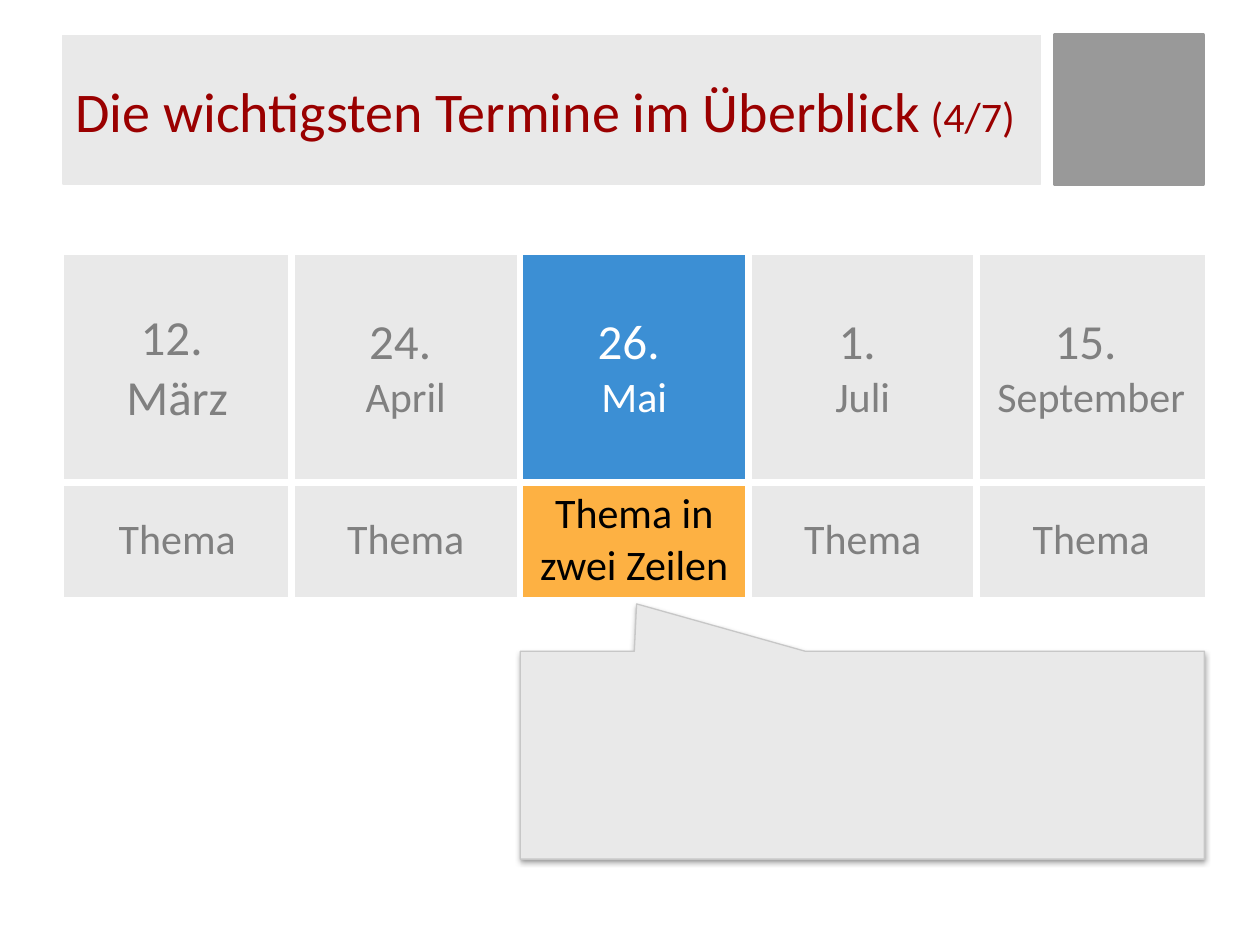
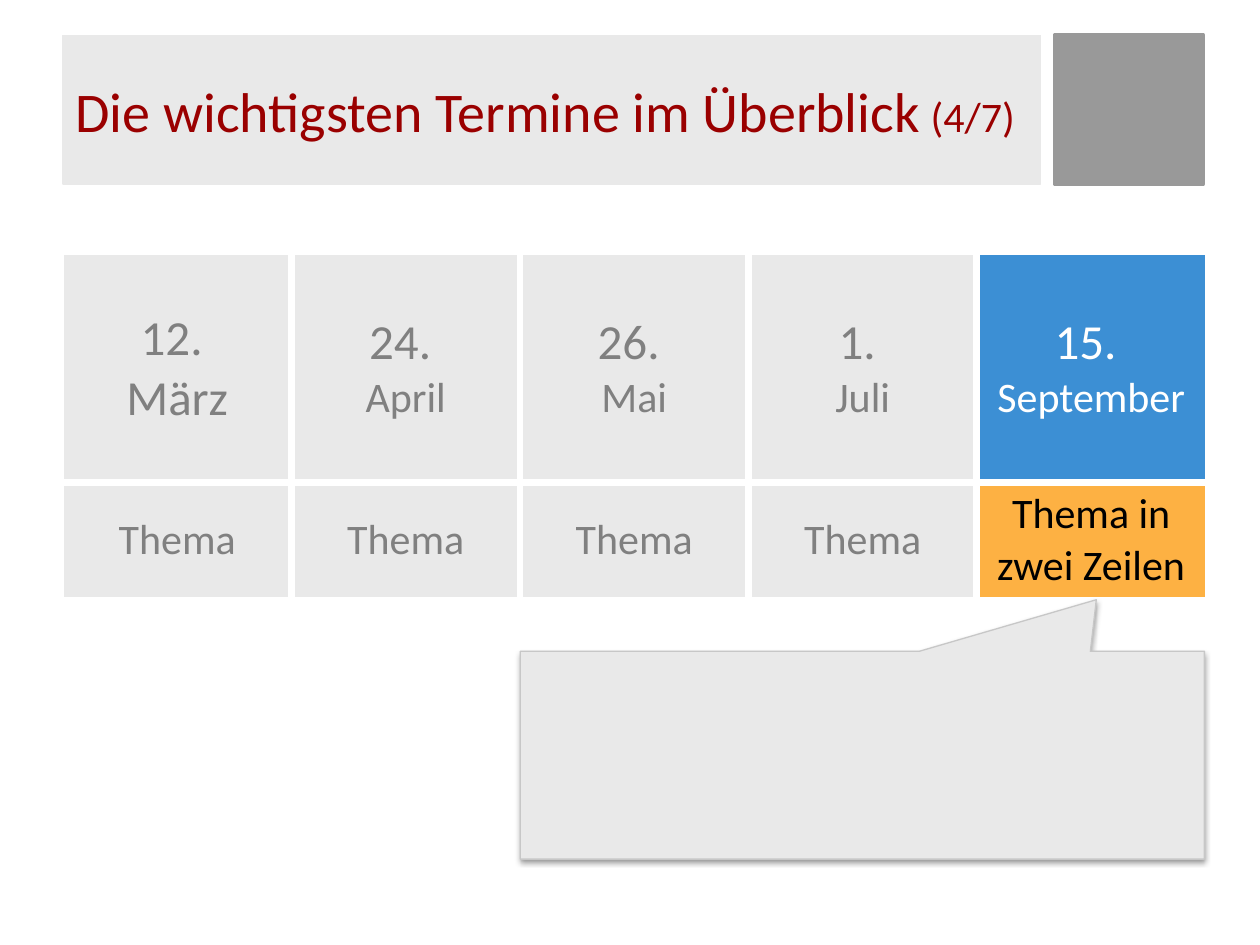
from dataclasses import dataclass

import pptx
import pptx.dml.color
import pptx.enum.shapes
import pptx.enum.text
import pptx.oxml
import pptx.oxml.ns
import pptx.util
from pptx.util import Cm, Pt


@dataclass(frozen=True)
class Theme:
    font: str = "Calibri"
    panel: str = "E9E9E9"
    corner: str = "999999"
    title: str = "9A0000"
    muted: str = "808080"
    white: str = "FFFFFF"
    black: str = "000000"
    active_date: str = "3C8FD4"
    active_topic: str = "FDB143"
    callout_line: str = "C7C7C7"
    title_size: int = 32
    day_size: int = 28
    small_size: int = 24
    thin_border: float = 1
    wide_border: float = 4.5


@dataclass(frozen=True)
class Event:
    day: str
    month: str
    month_size: int


@dataclass(frozen=True)
class Overview:
    active: int  # column of the highlighted event
    tip_x: float
    tip_y: float


@dataclass(frozen=True)
class Area:
    left: float
    top: float
    width: float
    height: float

    def lengths(self) -> tuple:
        return Cm(self.left), Cm(self.top), Cm(self.width), Cm(self.height)


THEME = Theme()
SHAPES = pptx.enum.shapes.MSO_SHAPE
MIDDLE = pptx.enum.text.MSO_ANCHOR.MIDDLE
ALIGN = pptx.enum.text.PP_ALIGN

TITLE_AREA = Area(1.27, 0.71, 19.71, 3)
CORNER_AREA = Area(21.26, 0.71, 3, 3)
TABLE_AREA = Area(1.27, 5.13, 23.03, 6.81)
CALLOUT_AREA = Area(10.49, 13.13, 13.79, 4.19)
ROW_HEIGHTS = (4.6, 2.21)

EVENTS = (
    Event("12.", "März", THEME.day_size),
    Event("24.", "April", THEME.small_size),
    Event("26.", "Mai", THEME.small_size),
    Event("1.", "Juli", THEME.small_size),
    Event("15.", "September", THEME.small_size),
)
OVERVIEWS = (Overview(2, -0.33, -0.728), Overview(4, 0.342, -0.748))


def rgb(value: str) -> pptx.dml.color.RGBColor:
    return pptx.dml.color.RGBColor.from_string(value)


def style_span(span, size: float, color: str) -> None:
    span.font.name = THEME.font
    span.font.size = Pt(size)
    span.font.color.rgb = rgb(color)


def add_box(page, kind, area: Area, fill: str, line: str, width: float):
    box = page.shapes.add_shape(kind, *area.lengths())
    box.shadow.inherit = False
    box.fill.solid()
    box.fill.fore_color.rgb = rgb(fill)
    box.line.color.rgb = rgb(line)
    box.line.width = Pt(width)
    return box


# Header shared by all slides
def add_header(page) -> None:
    add_box(page, SHAPES.RECTANGLE, CORNER_AREA, THEME.corner, THEME.corner, 2)
    box = add_box(page, SHAPES.RECTANGLE, TITLE_AREA, THEME.panel, THEME.panel, 0.75)
    frame = box.text_frame
    frame.word_wrap = True
    frame.vertical_anchor = MIDDLE
    para = frame.paragraphs[0]
    para.alignment = ALIGN.LEFT
    for text, size in (
        ("Die wichtigsten Termine im Überblick", THEME.title_size),
        (" (4/7)", THEME.small_size),
    ):
        span = para.add_run()
        span.text = text
        style_span(span, size, THEME.title)


# Table of dates and topics
def set_borders(cell, row: int, column: int) -> None:
    outer_sides = {
        "lnL": column == 0,
        "lnR": column == len(EVENTS) - 1,
        "lnT": row == 0,
        "lnB": row == len(ROW_HEIGHTS) - 1,
    }
    properties = cell._tc.get_or_add_tcPr()
    for index, (side, is_outer) in enumerate(outer_sides.items()):
        width = Pt(THEME.thin_border if is_outer else THEME.wide_border)
        border = pptx.oxml.parse_xml(
            f'<a:{side} {pptx.oxml.ns.nsdecls("a")} w="{width}"><a:solidFill>'
            f'<a:srgbClr val="{THEME.white}"/></a:solidFill></a:{side}>'
        )
        properties.insert(index, border)


def fill_cell(cell, text: str, sizes: tuple[int, ...], fill: str, color: str) -> None:
    cell.fill.solid()
    cell.fill.fore_color.rgb = rgb(fill)
    cell.vertical_anchor = MIDDLE
    para = cell.text_frame.paragraphs[0]
    para.text = text
    para.alignment = ALIGN.CENTER
    for span, size in zip(para.runs, sizes):
        style_span(span, size, color)


def add_schedule(page, active: int) -> None:
    table = page.shapes.add_table(
        len(ROW_HEIGHTS), len(EVENTS), *TABLE_AREA.lengths()
    ).table
    table.first_row = table.horz_banding = False
    for row, height in zip(table.rows, ROW_HEIGHTS):
        row.height = Cm(height)
    for column, event in enumerate(EVENTS):
        table.columns[column].width = Cm(TABLE_AREA.width / len(EVENTS))
        date_colors = topic_colors = (THEME.panel, THEME.muted)
        topic = "Thema"
        if column == active:
            date_colors = (THEME.active_date, THEME.white)
            topic_colors = (THEME.active_topic, THEME.black)
            topic = "Thema in zwei Zeilen"
        date = f"{event.day} \v{event.month}"
        date_sizes = (THEME.day_size, event.month_size)
        fill_cell(table.cell(0, column), date, date_sizes, *date_colors)
        fill_cell(table.cell(1, column), topic, (THEME.small_size,), *topic_colors)
        for row in range(len(ROW_HEIGHTS)):
            set_borders(table.cell(row, column), row, column)


# Callout pointing at the highlighted event
def add_callout(page, overview: Overview) -> None:
    box = add_box(page, SHAPES.RECTANGULAR_CALLOUT, CALLOUT_AREA,
                  THEME.panel, THEME.callout_line, 0.75)
    box.adjustments[0] = overview.tip_x
    box.adjustments[1] = overview.tip_y
    effects = box._element.spPr.find(pptx.oxml.ns.qn("a:effectLst"))
    effects.append(pptx.oxml.parse_xml(
        f'<a:outerShdw {pptx.oxml.ns.nsdecls("a")} blurRad="{Pt(3.1)}" '
        f'dist="{Pt(1.6)}" dir="5400000" rotWithShape="0">'
        f'<a:srgbClr val="{THEME.black}"><a:alpha val="38000"/></a:srgbClr>'
        "</a:outerShdw>"
    ))


def main() -> None:
    deck = pptx.Presentation()
    deck.slide_width, deck.slide_height = Cm(25.4), Cm(19.05)
    for overview in OVERVIEWS:
        page = deck.slides.add_slide(deck.slide_layouts[6])
        add_header(page)
        add_schedule(page, overview.active)
        add_callout(page, overview)
    deck.save("out.pptx")


if __name__ == "__main__":
    main()
